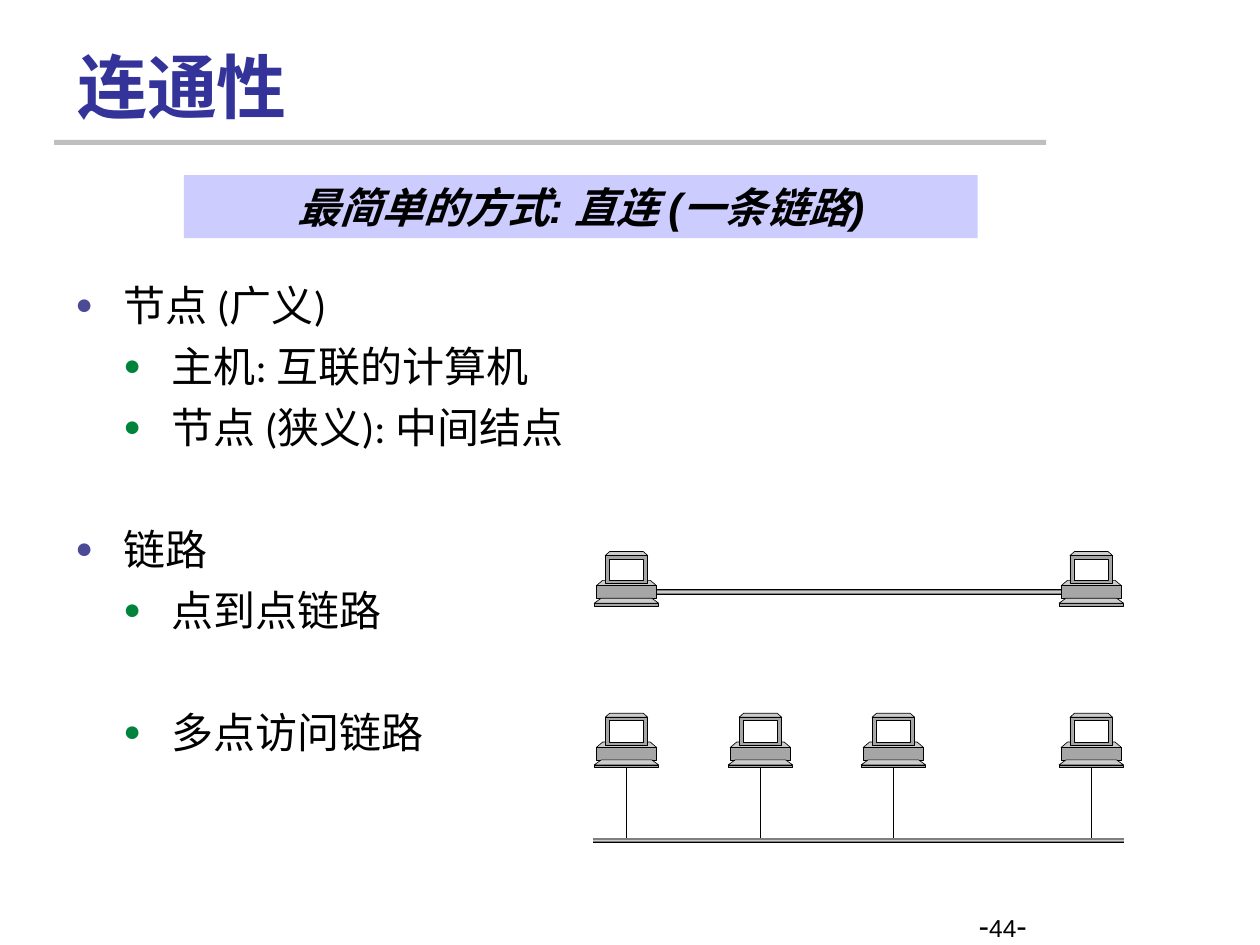
import dataclasses

import lxml.etree
import pptx
import pptx.dml.color
import pptx.enum.shapes
import pptx.enum.text
import pptx.oxml.ns
import pptx.util

Cm = pptx.util.Cm
Pt = pptx.util.Pt
qn = pptx.oxml.ns.qn
ALIGN = pptx.enum.text.PP_ALIGN
ANCHOR = pptx.enum.text.MSO_ANCHOR


@dataclasses.dataclass(frozen=True)
class Theme:
    ink: str = "000000"
    title: str = "333399"
    rule: str = "BFBFBF"
    banner: str = "CCCCFF"
    dots: tuple = ("4A4A97", "00843C")
    light: str = "CCCCCC"
    mid: str = "A6A6A6"
    dark: str = "7F7F7F"
    white: str = "FFFFFF"
    sans: str = "Arial"
    body: str = "Calibri"
    asian: str = "Noto Sans CJK SC"
    head_size: int = 40
    text_size: int = 24
    dash_size: int = 18
    page_size: int = 14
    edge: float = 0.37
    wire: float = 0.75


THEME = Theme()


def color(code):
    return pptx.dml.color.RGBColor.from_string(code)


def write(para, text, size=THEME.text_size, face=THEME.sans, ink=THEME.ink,
          bold=False, slant=False):
    """Add a run, with the same Asian typeface in every run."""
    run = para.add_run()
    run.text = text
    font = run.font
    font.size, font.name, font.bold, font.italic = Pt(size), face, bold, slant
    font.color.rgb = color(ink)
    lxml.etree.SubElement(font._element, qn("a:ea"), typeface=THEME.asian)


class Maker:
    """Holds the theme and the current slide."""

    def __init__(self, theme, slide):
        self.theme = theme
        self.slide = slide

    def paint(self, shape, fill, edge=None):
        shape.shadow.inherit = False
        shape.fill.solid()
        shape.fill.fore_color.rgb = color(fill)
        if edge is None:
            shape.line.fill.background()
        else:
            shape.line.color.rgb = color(self.theme.ink)
            shape.line.width = Pt(edge)
        return shape

    def rect(self, left, top, width, height, fill, edge=None, home=None):
        kind = pptx.enum.shapes.MSO_SHAPE.RECTANGLE
        shape = (home or self.slide).shapes.add_shape(
            kind, Cm(left), Cm(top), Cm(width), Cm(height))
        return self.paint(shape, fill, edge)

    def slab(self, mid, top, base, wide, slim, home):
        """Trapezoid around mid; wide and slim are its half widths."""
        pen = home.shapes.build_freeform(Cm(mid - wide), Cm(base))
        pen.add_line_segments(
            [(Cm(mid - slim), Cm(top)), (Cm(mid + slim), Cm(top)),
             (Cm(mid + wide), Cm(base))], close=True)
        self.paint(pen.convert_to_shape(), self.theme.light, self.theme.edge)

    def line(self, start, end, ink, width):
        kind = pptx.enum.shapes.MSO_CONNECTOR.STRAIGHT
        line = self.slide.shapes.add_connector(
            kind, *(Cm(n) for n in (*start, *end)))
        line.line.color.rgb = color(ink)
        line.line.width = Pt(width)
        lxml.etree.SubElement(line._element.spPr, qn("a:effectLst"))
        return line

    def pipe(self, start, end):
        """Three stacked lines that look like one shaded cable."""
        look = self.theme
        coats = ((look.ink, 3), (look.dark, 2.25), (look.light, 0.75))
        return [self.line(start, end, ink, width) for ink, width in coats]

    def host(self, mid, top):
        """Draw a computer; return its case and its bottom strip."""
        home = self.slide.shapes.add_group_shape()

        def block(half, high, low, fill):
            return self.rect(mid - half, top + high, 2 * half, low - high,
                             fill, self.theme.edge, home)

        def slope(wide, slim, high, low):
            self.slab(mid, top + high, top + low, wide, slim, home)

        slope(0.61, 0.48, 0.58, 0.69)
        case = block(0.61, 0.69, 0.94, self.theme.mid)
        strip = block(0.65, 1.04, 1.1, self.theme.mid)
        slope(0.65, 0.51, 0.94, 1.04)
        slope(0.43, 0.34, 0, 0.08)
        block(0.43, 0.08, 0.64, self.theme.mid)
        block(0.35, 0.15, 0.58, self.theme.white)
        return case, strip

    def frame(self, left, top, width, height):
        box = self.slide.shapes.add_textbox(
            Cm(left), Cm(top), Cm(width), Cm(height))
        box.text_frame.word_wrap = True
        return box.text_frame

    def title(self, text, left, top, width, height):
        shape = self.slide.shapes.title
        shape.left, shape.top = Cm(left), Cm(top)
        shape.width, shape.height = Cm(width), Cm(height)
        frame = shape.text_frame
        frame.auto_size = pptx.enum.text.MSO_AUTO_SIZE.NONE
        frame.vertical_anchor = ANCHOR.BOTTOM
        para = frame.paragraphs[0]
        para.alignment = ALIGN.LEFT
        write(para, text, size=self.theme.head_size, face=self.theme.asian,
              ink=self.theme.title, bold=True)

    def banner(self, text, left, top, width, height):
        shape = self.rect(left, top, width, height, self.theme.banner)
        frame = shape.text_frame
        frame.vertical_anchor = ANCHOR.TOP
        para = frame.paragraphs[0]
        para.alignment = ALIGN.CENTER
        write(para, text, bold=True, slant=True)

    def bullet(self, para, level):
        step = Cm(0.97)
        props = para._p.get_or_add_pPr()
        props.set("marL", str(step * (level + 1)))
        props.set("indent", str(-step))
        tint = lxml.etree.SubElement(props, qn("a:buClr"))
        lxml.etree.SubElement(tint, qn("a:srgbClr"), val=self.theme.dots[level])
        lxml.etree.SubElement(props, qn("a:buSzPct"), val="70000")
        lxml.etree.SubElement(props, qn("a:buFont"), typeface=self.theme.sans)
        lxml.etree.SubElement(props, qn("a:buChar"), char="●")

    def points(self, items, left, top, width, height):
        """Items are (level, text, points of space before)."""
        frame = self.frame(left, top, width, height)
        for rank, (level, text, gap) in enumerate(items):
            para = frame.add_paragraph() if rank else frame.paragraphs[0]
            para.level = level
            self.bullet(para, level)
            if rank:
                para.space_before = Pt(gap)
            write(para, text, face=self.theme.body)

    def folio(self, number, left, top, width, height):
        para = self.frame(left, top, width, height).paragraphs[0]
        dash, page = self.theme.dash_size, self.theme.page_size
        for text, size in (("-", dash), (number, page), ("-", dash)):
            write(para, text, size=size)


def main():
    deck = pptx.Presentation()
    deck.slide_width, deck.slide_height = Cm(25.4), Cm(19.05)
    make = Maker(THEME, deck.slides.add_slide(deck.slide_layouts[5]))

    make.rect(1.09, 2.82, 20, 0.1, THEME.rule)
    make.folio("44", 19.48, 18.14, 5.92, 1.27)
    make.title("连通性", 1.3, 0.71, 20.96, 1.98)
    near, far = 6, 40.85
    make.points([
        (0, "节点 (广义)", 0),
        (1, "主机: 互联的计算机", near),
        (1, "节点 (狭义): 中间结点", near),
        (0, "链路", far),
        (1, "点到点链路", near),
        (1, "多点访问链路", far),
    ], 1.27, 5.51, 22.86, 12.4)

    mids = (12.63, 15.33, 18.01, 22)
    bus = 16.94
    for mid in mids:
        strip = make.host(mid, 14.38)[1]
        drop = make.line((mid, 15.48), (mid, bus), THEME.ink, THEME.wire)
        drop.begin_connect(strip, 2)
    make.pipe((11.96, bus), (22.66, bus))

    first, last = (make.host(mid, 11.12)[0] for mid in (mids[0], mids[-1]))
    for line in make.pipe((mids[0], 11.94), (mids[-1], 11.94)):
        line.begin_connect(first, 3)
        line.end_connect(last, 1)

    make.banner("最简单的方式: 直连 (一条链路)", 3.71, 3.53, 16, 1.27)
    deck.save("out.pptx")


if __name__ == "__main__":
    main()
